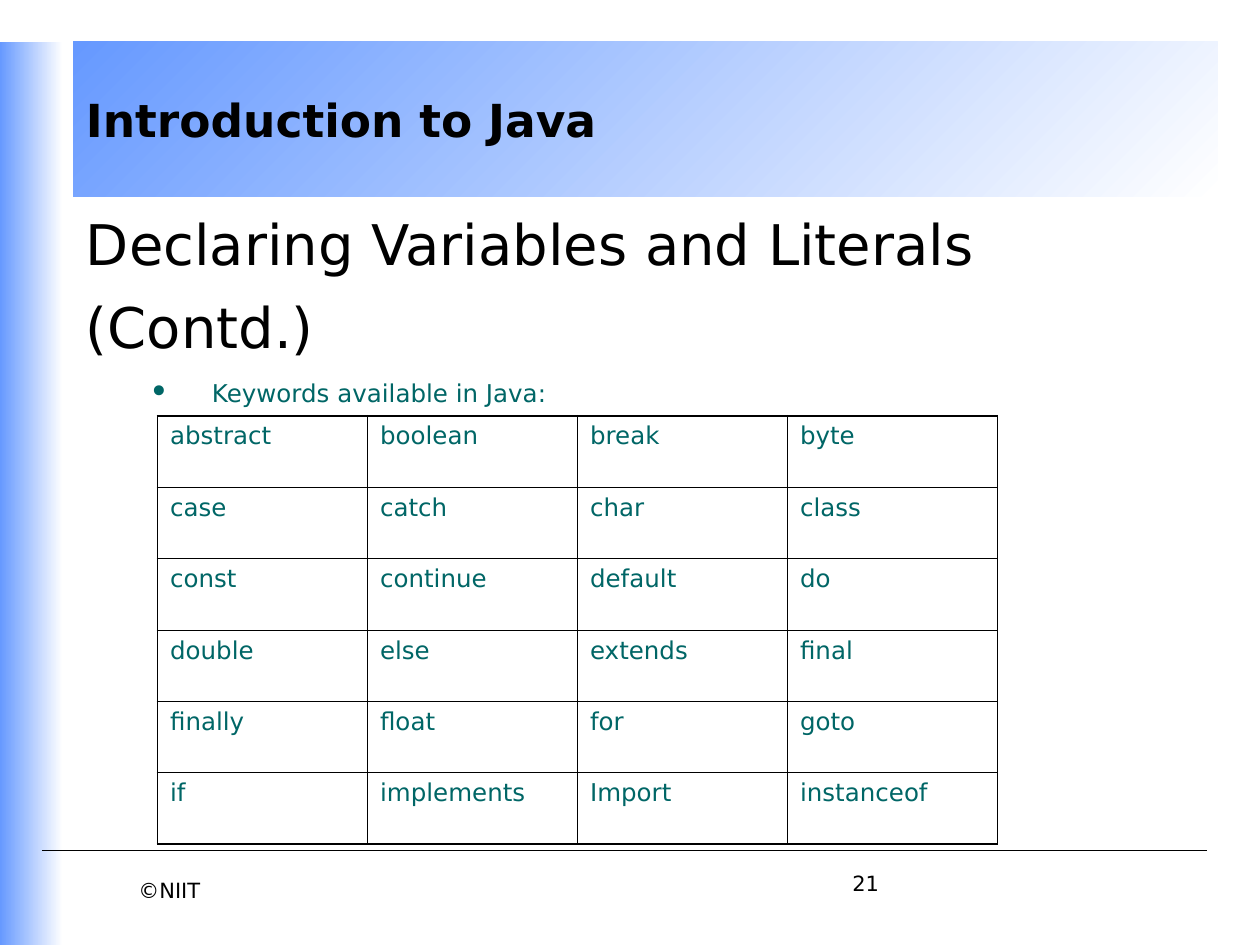
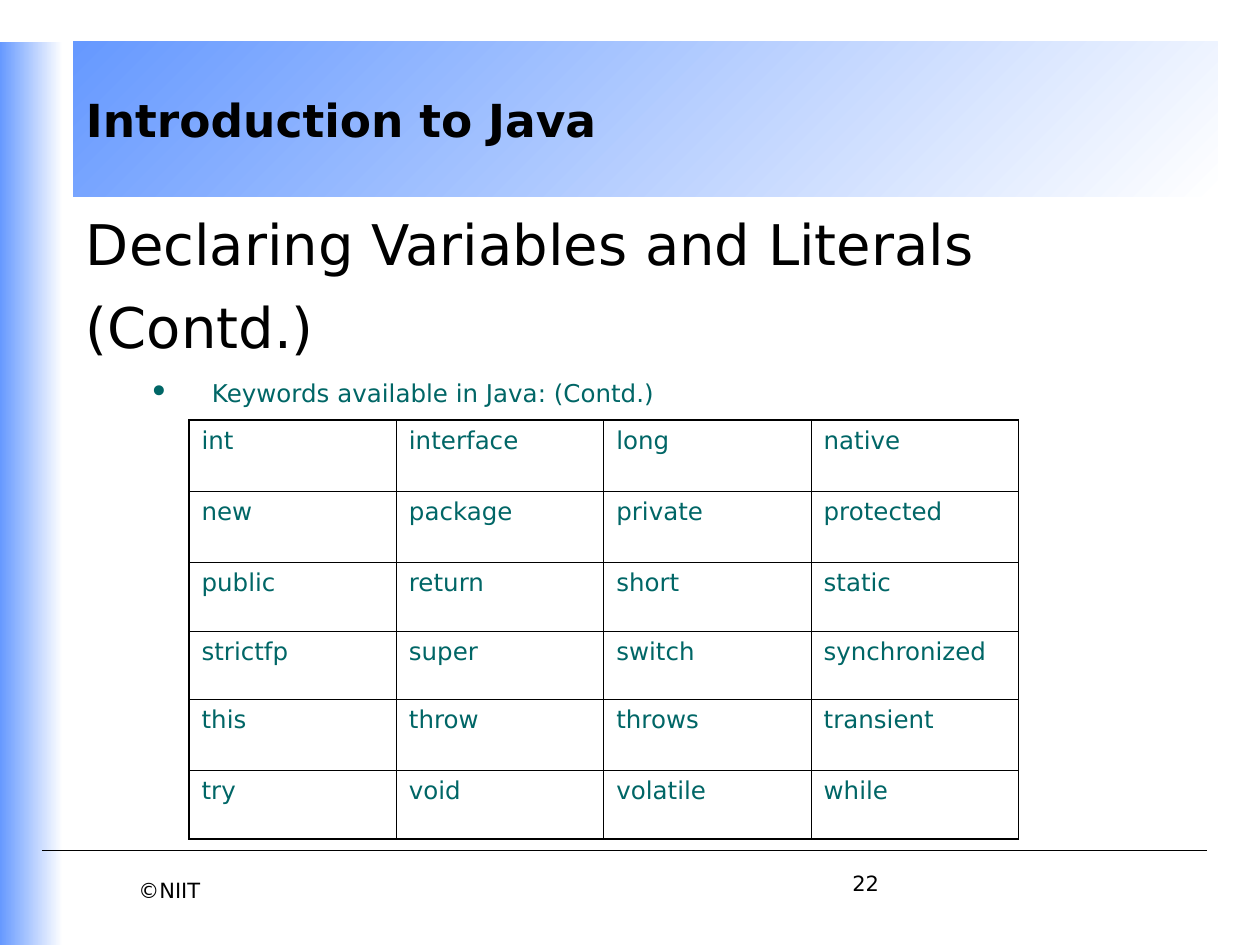
"""Builds two slides that list the Java keywords in tables."""
from dataclasses import dataclass
from typing import Optional

from lxml.etree import SubElement as Sub
from pptx import Presentation
from pptx.dml.color import RGBColor
from pptx.enum.shapes import MSO_CONNECTOR as Link, MSO_SHAPE as Form
from pptx.enum.text import MSO_ANCHOR as Anchor, PP_ALIGN as Align
from pptx.oxml.ns import qn
from pptx.util import Emu, Inches, Pt

UNIT = Inches(1) // 12
WIDE, HIGH = 120, 90
FONT = "DejaVu Sans"
BLACK, WHITE, BLUE, TEAL = "000000", "FFFFFF", "6699FF", "006666"
THICK, THIN = 1.08, 0.45


@dataclass(frozen=True)
class Box:
    """A place on the grid, in twelfths of an inch."""
    x: float
    y: float
    w: float
    h: float

    def emu(self) -> list[Emu]:
        return [grid(n) for n in (self.x, self.y, self.w, self.h)]


@dataclass(frozen=True)
class Line:
    """One paragraph of text and its look."""
    text: str
    size: float
    color: str = BLACK
    bold: bool = False
    gap: float = 0
    dot: bool = False


@dataclass(frozen=True)
class Band:
    """A rectangle that fades from white to blue."""
    box: Box
    angle: float
    title: Optional[Line] = None


@dataclass(frozen=True)
class Page:
    """What is particular to one slide."""
    number: int
    lead: str
    left: float
    top: float
    col: float
    rows: tuple[float, ...]
    words: str


BANDS = (
    Band(Box(7, 4, 109, 14.7), 135, Line("Introduction to Java", 26, bold=True)),
    Band(Box(0, 4, 6, HIGH - 4), 180),
)
HEAD = (
    Line("Declaring Variables and Literals", 32),
    Line("(Contd.)", 32, gap=9),
)
BODY = Box(7, 19.4, 106, 57.6)
MARK = Box(12, 83, 27, 5)
FOLIO = Box(80, 82.3, 29, 6)
RULE = (4, 115, 81)

PAGES = (
    Page(21, "Keywords available in Java:", 15, 39.6, 20, (6.8,) * 6, """
        abstract boolean break byte
        case catch char class
        const continue default do
        double else extends final
        finally float for goto
        if implements Import instanceof"""),
    Page(22, "Keywords available in Java: (Contd.)", 18, 40, 19.75,
         (6.8, 6.8, 6.5, 6.5, 6.8, 6.5), """
        int interface long native
        new package private protected
        public return short static
        strictfp super switch synchronized
        this throw throws transient
        try void volatile while"""),
)


def grid(n: float) -> Emu:
    """Turn grid steps into a length."""
    return Emu(round(n * UNIT))


def rgb(code: str) -> RGBColor:
    """Turn a hex string into a colour."""
    return RGBColor.from_string(code)


def add_dot(para) -> None:
    """Give a paragraph a hanging round bullet."""
    props = para._p.get_or_add_pPr()
    props.set("marL", str(Inches(1)))
    props.set("indent", str(-Inches(0.5)))
    tint = Sub(props, qn("a:buClr"))
    Sub(tint, qn("a:srgbClr"), val=TEAL)
    Sub(props, qn("a:buSzPct"), val="140000")
    Sub(props, qn("a:buFont"), typeface=FONT)
    Sub(props, qn("a:buChar"), char="•")


def write(frame, *lines: Line) -> None:
    """Fill a text frame with lines."""
    frame.word_wrap = True
    for i, line in enumerate(lines):
        para = frame.add_paragraph() if i else frame.paragraphs[0]
        if line.dot:
            add_dot(para)
        para.alignment = Align.LEFT
        if line.gap:
            para.space_before = Pt(line.gap)
        run = para.add_run()
        run.text = line.text
        font = run.font
        font.name, font.size, font.bold = FONT, Pt(line.size), line.bold
        font.color.rgb = rgb(line.color)


def add_text(slide, box: Box, *lines: Line) -> None:
    """Add a text box."""
    write(slide.shapes.add_textbox(*box.emu()).text_frame, *lines)


def add_band(slide, band: Band) -> None:
    """Add a fading band, with its title if it has one."""
    shape = slide.shapes.add_shape(Form.RECTANGLE, *band.box.emu())
    shape.shadow.inherit = False
    shape.line.fill.background()
    shape.fill.gradient()
    shape.fill.gradient_angle = band.angle
    for stop, code in zip(shape.fill.gradient_stops, (WHITE, BLUE)):
        stop.color.rgb = rgb(code)
    if band.title:
        shape.text_frame.vertical_anchor = Anchor.MIDDLE
        write(shape.text_frame, band.title)


def add_rule(slide) -> None:
    """Add the thin line above the footer."""
    start, end, y = map(grid, RULE)
    rule = slide.shapes.add_connector(Link.STRAIGHT, start, y, end, y)
    rule.line.color.rgb = rgb(BLACK)
    rule.line.width = Pt(0.75)
    Sub(rule._element.spPr, qn("a:effectLst"))


def add_edge(cell, side: str, width: float) -> None:
    """Draw one border of a cell."""
    edge = Sub(cell._tc.get_or_add_tcPr(), qn(f"a:ln{side}"), w=str(Pt(width)))
    fill = Sub(edge, qn("a:solidFill"))
    Sub(fill, qn("a:srgbClr"), val=BLACK)


def add_words(slide, page: Page) -> None:
    """Add the table of keywords."""
    words = [row.split() for row in page.words.strip().splitlines()]
    rows, cols = len(words), len(words[0])
    box = Box(page.left, page.top, page.col * cols, sum(page.rows))
    table = slide.shapes.add_table(rows, cols, *box.emu()).table
    table.first_row = table.horz_banding = False
    for col in table.columns:
        col.width = grid(page.col)
    for r, row in enumerate(words):
        table.rows[r].height = grid(page.rows[r])
        for c, word in enumerate(row):
            cell = table.cell(r, c)
            outer = {"L": c == 0, "R": c == cols - 1,
                     "T": r == 0, "B": r == rows - 1}
            for side, edge in outer.items():
                add_edge(cell, side, THICK if edge else THIN)
            cell.fill.background()
            write(cell.text_frame, Line(word, 14, TEAL))


def add_page(deck, page: Page) -> None:
    """Build one slide."""
    slide = deck.slides.add_slide(deck.slide_layouts[6])
    for band in BANDS:
        add_band(slide, band)
    add_text(slide, MARK, Line("©NIIT", 12))
    add_rule(slide)
    add_text(slide, BODY, *HEAD, Line(page.lead, 14, TEAL, gap=10, dot=True))
    add_words(slide, page)
    add_text(slide, FOLIO, Line(str(page.number), 12))


def main() -> None:
    """Build and save the deck."""
    deck = Presentation()
    deck.slide_width, deck.slide_height = grid(WIDE), grid(HIGH)
    for page in PAGES:
        add_page(deck, page)
    deck.save("out.pptx")


if __name__ == "__main__":
    main()
